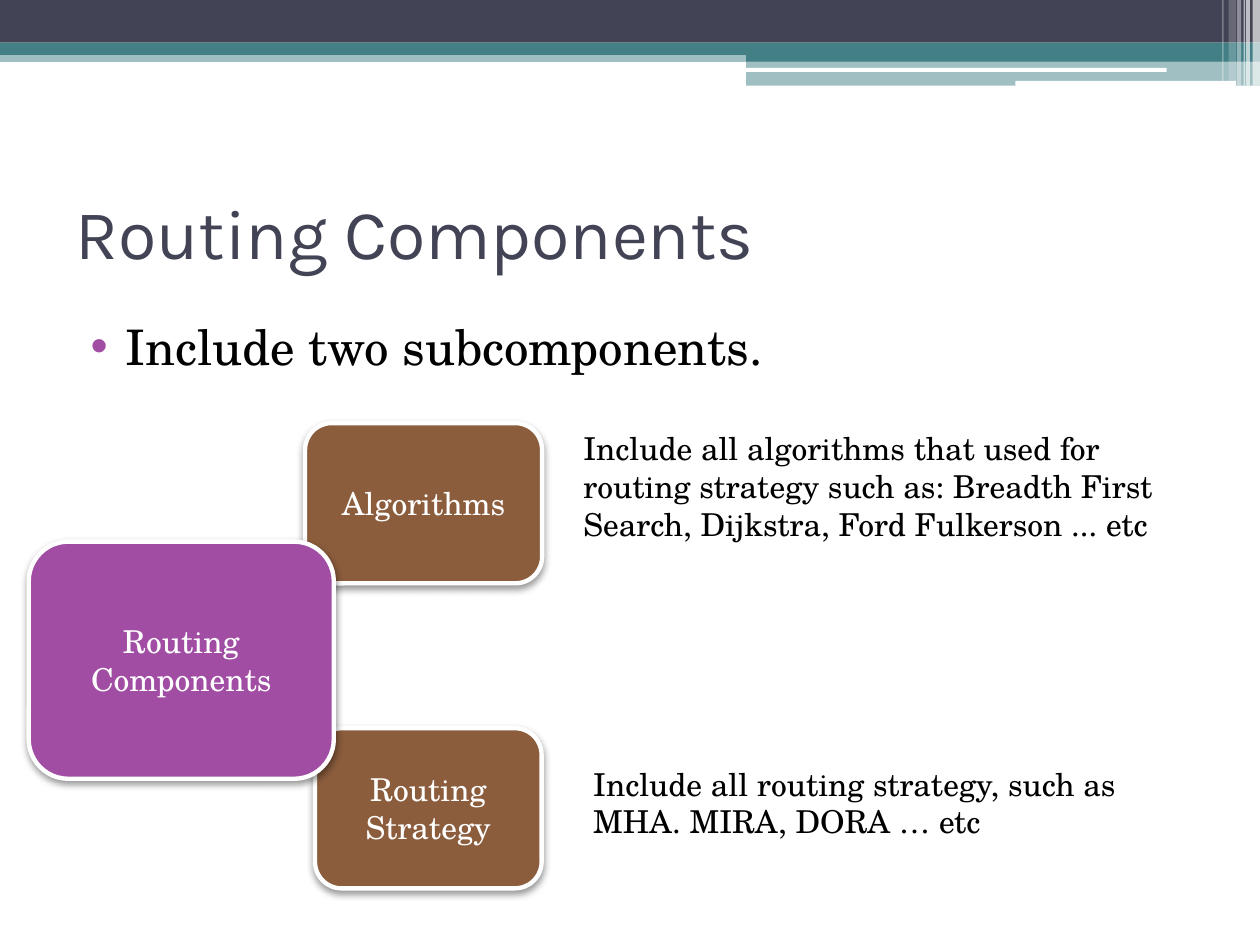
import lxml.etree
import pptx
import pptx.dml.color
import pptx.enum.shapes
import pptx.enum.text
import pptx.oxml.ns
import pptx.util

Cm = pptx.util.Cm
Pt = pptx.util.Pt
RGBColor = pptx.dml.color.RGBColor
Shape = pptx.enum.shapes.MSO_SHAPE
Align = pptx.enum.text.PP_ALIGN
Anchor = pptx.enum.text.MSO_ANCHOR
qn = pptx.oxml.ns.qn

NAVY = RGBColor(0x42, 0x44, 0x56)
TEAL = RGBColor(0x43, 0x80, 0x86)
PURPLE = RGBColor(0xA0, 0x4D, 0xA3)
BROWN = RGBColor(0x8B, 0x5D, 0x3D)
WHITE = RGBColor(0xFF, 0xFF, 0xFF)
BLACK = RGBColor(0, 0, 0)

HEADING_FONT = "Karla"
BODY_FONT = "TeX Gyre Schola"


def add_xml(parent, tag, **attributes):
    return lxml.etree.SubElement(parent, qn(tag), attributes)


class RoutingSlide:
    def __init__(self, slide):
        self.shapes = slide.shapes

    def filled(self, kind, place, color):
        shape = self.shapes.add_shape(kind, *map(Cm, place))
        shape.shadow.inherit = False
        shape.fill.solid()
        shape.fill.fore_color.rgb = color
        return shape

    def band(self, place, color, opacity=100, kind=Shape.RECTANGLE):
        band = self.filled(kind, place, color)
        band.line.fill.background()
        if opacity < 100:
            tint = band._element.spPr.find(".//" + qn("a:srgbClr"))
            add_xml(tint, "a:alpha", val=str(opacity * 1000))

    def set_text(self, frame, text, size, color, font=BODY_FONT):
        frame.word_wrap = True
        paragraph = frame.paragraphs[0]
        paragraph.text = text
        paragraph.font.size = Pt(size)
        paragraph.font.name = font
        paragraph.font.color.rgb = color
        return paragraph

    def card(self, place, color, text):
        card = self.filled(Shape.ROUNDED_RECTANGLE, place, color)
        card.line.color.rgb = WHITE
        card.line.width = Pt(2.5)
        effects = card._element.spPr.find(qn("a:effectLst"))
        shadow = add_xml(effects, "a:outerShdw", blurRad=str(Pt(4.1)), dist=str(Pt(2)),
                         dir="5400000", rotWithShape="0")
        tint = add_xml(shadow, "a:srgbClr", val=str(BLACK))
        add_xml(tint, "a:alpha", val="40000")
        card.text_frame.vertical_anchor = Anchor.MIDDLE
        self.set_text(card.text_frame, text, 18, WHITE).alignment = Align.CENTER

    def note(self, place, text, size=18, color=BLACK, font=BODY_FONT, anchor=Anchor.TOP):
        frame = self.shapes.add_textbox(*map(Cm, place)).text_frame
        frame.vertical_anchor = anchor
        return self.set_text(frame, text, size, color, font)

    def bullet(self, place, text):
        paragraph = self.note(place, text, size=28)
        paragraph.space_before = Pt(3)
        properties = paragraph._p.get_or_add_pPr()
        properties.set("marL", str(Cm(1.02)))
        properties.set("indent", str(Cm(-0.71)))
        font_defaults = properties.find(qn("a:defRPr"))
        marker_color = add_xml(properties, "a:buClr")
        add_xml(marker_color, "a:srgbClr", val=str(PURPLE))
        add_xml(properties, "a:buFont", typeface="Arial")
        add_xml(properties, "a:buChar", char="•")
        properties.append(font_defaults)


def main():
    presentation = pptx.Presentation()
    presentation.slide_width = Cm(25.4)
    presentation.slide_height = Cm(19.05)
    page = RoutingSlide(presentation.slides.add_slide(presentation.slide_layouts[6]))

    page.band((0, 1.02, 25.4, 0.23), TEAL, 50)
    page.band((0, 0, 25.4, 0.86), NAVY)
    page.band((0, 0.86, 25.4, 0.25), TEAL)
    page.band((15.04, 0.99, 10.36, 0.25), TEAL)
    page.band((15.04, 1.22, 10.36, 0.51), TEAL, 50)
    for place in ((15.01, 1.37, 8.51, 0.08), (20.47, 1.63, 4.45, 0.1)):
        page.band(place, WHITE, kind=Shape.ROUNDED_RECTANGLE)
    for left, width, height, opacity in (
        (25.25, 0.15, 1.73, 65),
        (25.12, 0.08, 1.73, 65),
        (25.07, 0.03, 1.73, 60),
        (24.94, 0.08, 1.73, 40),
        (24.77, 0.15, 1.63, 20),
        (24.64, 0.03, 1.63, 30),
    ):
        page.band((left, 0, width, height), WHITE, opacity)

    page.note((1.27, 3.18, 22.86, 2.97), "Routing Components", 40, NAVY,
              HEADING_FONT, Anchor.MIDDLE)
    page.bullet((1.27, 6.25, 22.86, 12.01), "Include two subcomponents.")

    page.card((6.15, 8.53, 4.78, 3.23), BROWN, "Algorithms")
    page.card((6.35, 14.68, 4.57, 3.23), BROWN, "Routing Strategy")
    page.card((0.58, 10.92, 6.15, 4.78), PURPLE, "Routing Components")

    page.note((11.51, 8.53, 13.11, 2.57),
              "Include all algorithms that used for routing strategy such as: "
              "Breadth First Search, Dijkstra, Ford Fulkerson ... etc")
    page.note((11.71, 15.29, 12.7, 1.8),
              "Include all routing strategy, such as MHA. MIRA, DORA … etc")

    presentation.save("out.pptx")


if __name__ == "__main__":
    main()
